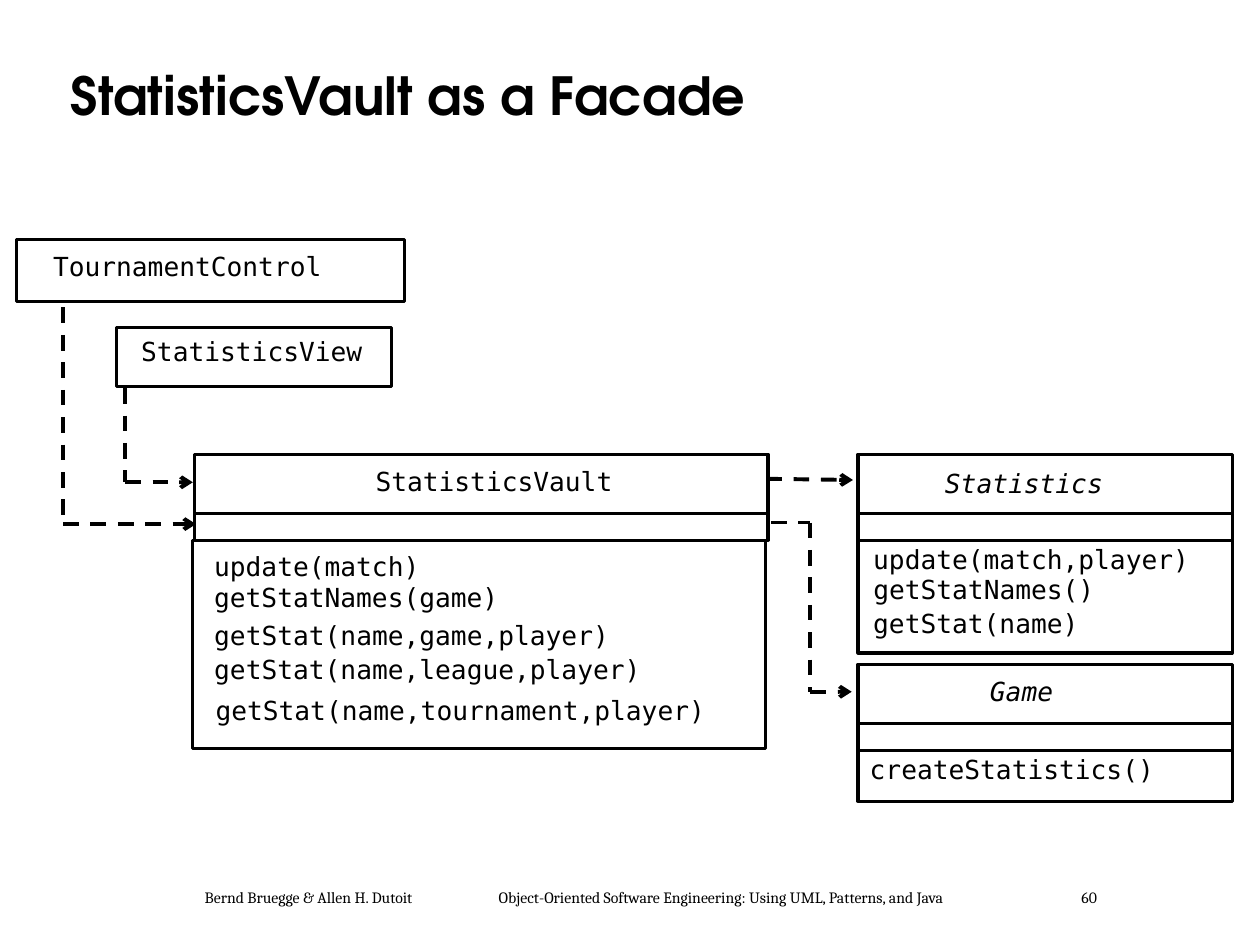
from lxml import etree
from pptx import Presentation
from pptx.dml.color import RGBColor
from pptx.enum import dml, shapes, text
from pptx.oxml.ns import qn
from pptx.util import Pt

COLORS = {"ink": "000000", "paper": "FFFFFF"}
CODE = {"name": "DejaVu Sans Mono", "size": Pt(15)}
TITLE = {"name": "TeX Gyre Adventor", "size": Pt(30), "bold": True}
FOOTER = {"name": "Cambria", "size": Pt(9)}
NAME_H, ATTRIBUTES_H = 33.8, 15.4
LABEL_H, LETTER_W, LABEL_SLACK = 18, 9.05, 4


def ink(name):
    return RGBColor.from_string(COLORS[name])


def add_text(slide, box, words, font, inset=0, wrap=False):
    frame = slide.shapes.add_textbox(*map(Pt, box)).text_frame
    frame.word_wrap = wrap
    for side in ("left", "top", "right", "bottom"):
        setattr(frame, f"margin_{side}", Pt(inset))
    paragraph = frame.paragraphs[0]
    run = paragraph.add_run()
    run.text = words
    for key, value in font.items():
        setattr(run.font, key, value)
    run.font.color.rgb = ink("ink")
    return frame


def add_label(slide, left, top, words, italic=False):
    """Place one line of code in a box slightly wider than its letters."""
    width = len(words) * LETTER_W + LABEL_SLACK
    add_text(slide, (left, top, width, LABEL_H), words, {**CODE, "italic": italic})


def add_frame(slide, left, top, width, height):
    """Draw one unfilled compartment."""
    frame = slide.shapes.add_shape(
        shapes.MSO_SHAPE.RECTANGLE, *map(Pt, (left, top, width, height)))
    frame.shadow.inherit = False
    frame.fill.background()
    frame.line.color.rgb = ink("ink")
    frame.line.width = Pt(1.75)


def add_client(slide, box, name, name_at):
    """Draw a class that shows only its name."""
    left, top = box[:2]
    add_frame(slide, *box)
    add_label(slide, left + name_at[0], top + name_at[1], name)


def add_class(slide, box, name, name_at, operations, italic=False, shift=0):
    """Draw name, attributes and operations; operations are (dx, dy, words)."""
    left, top, width, height = box
    attributes_top = top + NAME_H
    operations_top = attributes_top + ATTRIBUTES_H
    add_frame(slide, left + shift, operations_top, width,
              height - NAME_H - ATTRIBUTES_H)
    add_frame(slide, left, top, width, NAME_H)
    add_frame(slide, left, attributes_top, width, ATTRIBUTES_H)
    add_label(slide, left + name_at[0], top + name_at[1], name, italic)
    for dx, dy, words in operations:
        add_label(slide, left + dx, operations_top + dy, words)


def add_dependency(slide, *points):
    """Draw a dashed route through the points, with an arrowhead at its end."""
    for start, end in zip(points, points[1:]):
        leg = slide.shapes.add_connector(
            shapes.MSO_CONNECTOR.STRAIGHT, *map(Pt, start + end))
        leg.line.color.rgb = ink("ink")
        leg.line.width = Pt(2.25)
        leg.line.dash_style = dml.MSO_LINE.DASH
        if end == points[-1]:
            etree.SubElement(leg.line._get_or_add_ln(), qn("a:tailEnd"), type="arrow")
        etree.SubElement(leg._element.spPr, qn("a:effectLst"))


def add_title(slide, box):
    frame = add_text(slide, box, "StatisticsVault as a Facade", TITLE, 3.6, True)
    frame.margin_left = frame.margin_right = Pt(7.2)
    frame.vertical_anchor = text.MSO_ANCHOR.MIDDLE
    frame.paragraphs[0].line_spacing = 0.9


def add_footer(slide, box):
    parts = ("Bernd Bruegge & Allen H. Dutoit",
             "Object-Oriented Software Engineering: Using UML, Patterns, and Java",
             "60")
    frame = add_text(slide, box, "\t".join(parts), FOOTER, 3.6, True)
    frame.margin_left = Pt(75.2)
    properties = frame.paragraphs[0]._p.get_or_add_pPr()
    stops = etree.SubElement(properties, qn("a:tabLst"))
    for position in (168, 501):
        etree.SubElement(stops, qn("a:tab"), pos=str(Pt(position)), algn="l")


def add_class_diagram(slide, left, top):
    def at(x, y):
        return left + x, top + y

    add_client(slide, (*at(0, 0), 222, 35.3), "TournamentControl", (20.9, 6))
    add_client(slide, (*at(57.4, 50.4), 157, 33.8), "StatisticsView", (13.9, 4.3))
    add_class(slide, (*at(101.9, 122.7), 327.6, 168.5), "StatisticsVault", (103.3, 6.2), [
        (11.1, 5.8, "update(match)"),
        (11.1, 23.4, "getStatNames(game)"),
        (11.1, 45.3, "getStat(name,game,player)"),
        (11.1, 64.7, "getStat(name,league,player)"),
        (11.9, 88.2, "getStat(name,tournament,player)"),
    ], shift=-1.4)
    add_class(slide, (*at(480.9, 122.7), 213.8, 113.7), "Statistics", (49.7, 7.6), [
        (8.7, 1.7, "update(match,player)"),
        (8.7, 19, "getStatNames()"),
        (8.7, 38.5, "getStat(name)"),
    ], italic=True)
    add_class(slide, (*at(480.9, 242.8), 213.8, 78.3), "Game", (75.4, 6.3), [
        (6.7, 1.6, "createStatistics()"),
    ], italic=True)

    add_dependency(slide, at(26.6, 38.9), at(26.6, 162.7), at(102.6, 162.7))
    add_dependency(slide, at(62.2, 85), at(62.2, 138.8), at(100.8, 138.8))
    add_dependency(slide, at(428.4, 136.8), at(478, 137.5))
    add_dependency(slide, at(431.2, 161.8), at(453.6, 161.8),
                   at(453.6, 258.5), at(477.3, 258.5))


def main():
    deck = Presentation()
    deck.slide_width, deck.slide_height = Pt(720), Pt(540)
    slide = deck.slides.add_slide(deck.slide_layouts[6])
    slide.background.fill.solid()
    slide.background.fill.fore_color.rgb = ink("paper")
    add_footer(slide, (41.8, 504, 660.2, 18))
    add_title(slide, (33.1, 28.8, 642.2, 55.4))
    add_class_diagram(slide, 9.4, 136.8)
    deck.save("out.pptx")


if __name__ == "__main__":
    main()
